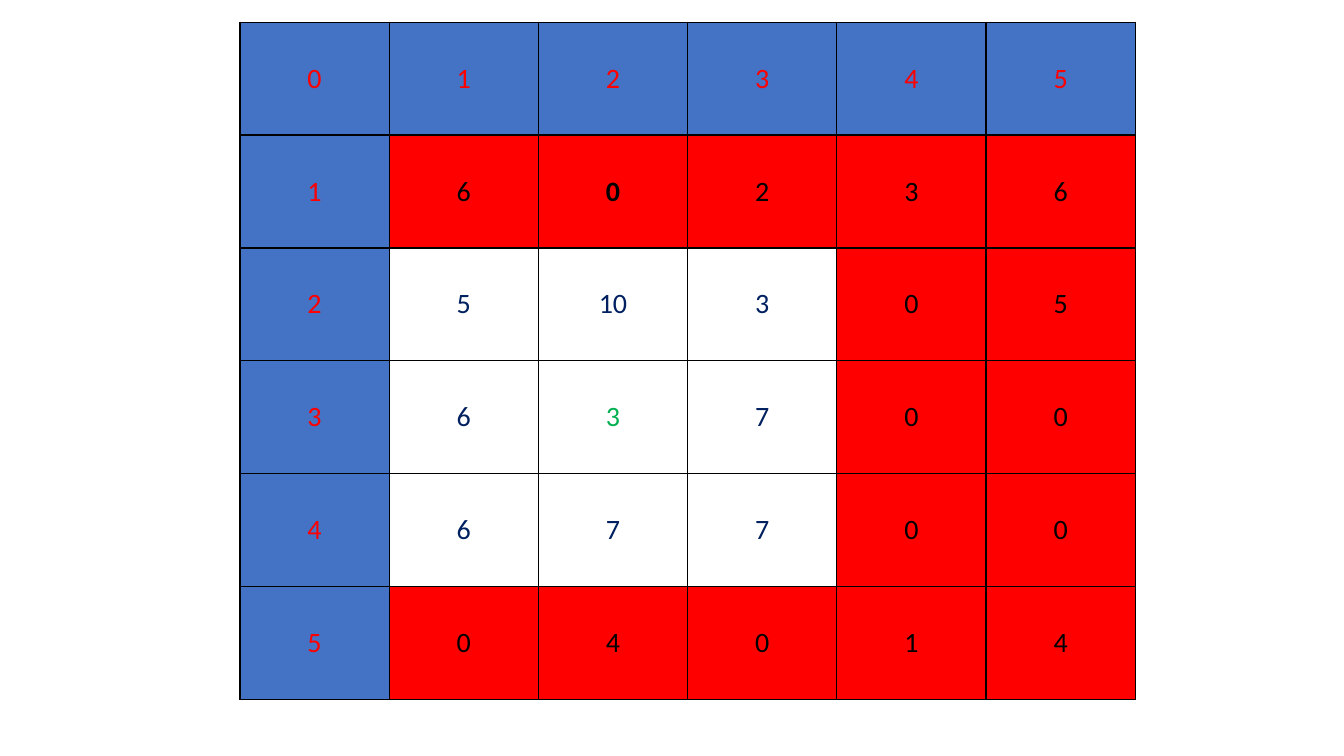
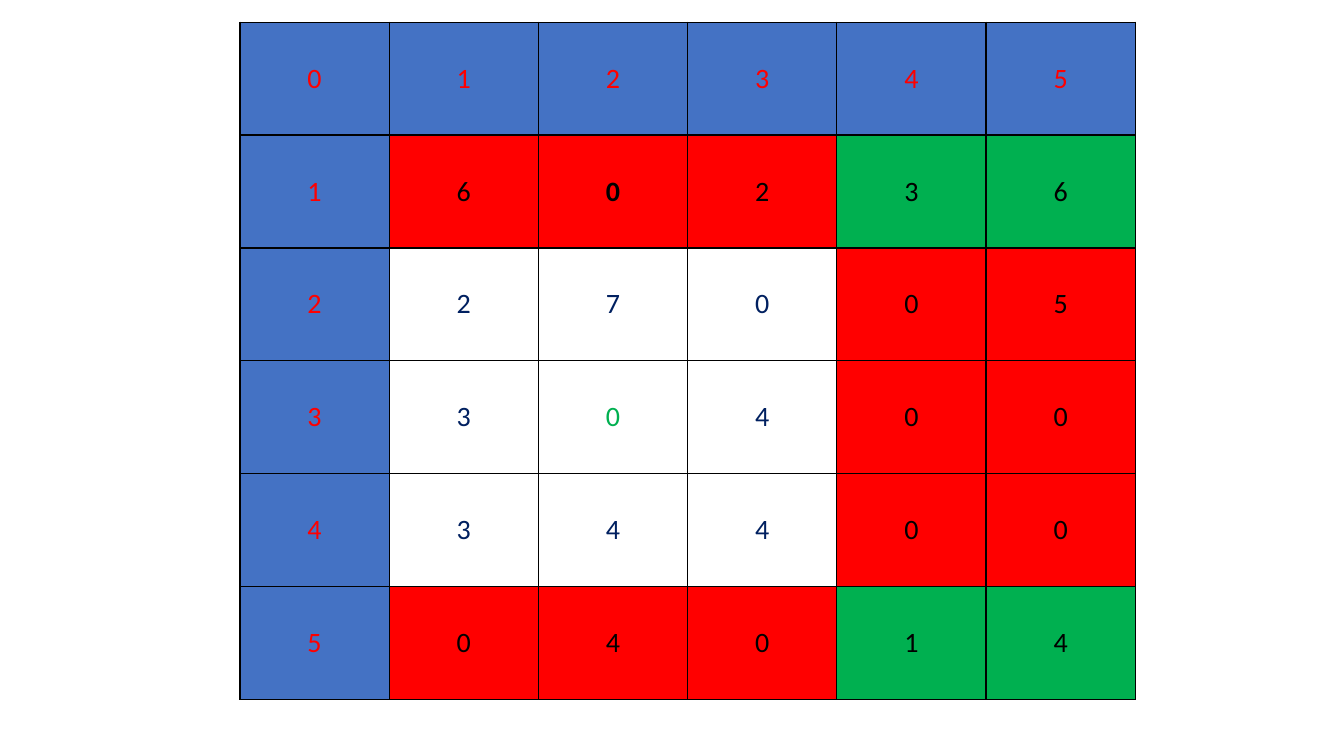
from lxml import etree
from pptx import Presentation
from pptx.dml.color import RGBColor
from pptx.enum.text import MSO_ANCHOR, PP_ALIGN
from pptx.oxml.ns import qn
from pptx.util import Inches, Pt

CENTER = PP_ALIGN.CENTER
MIDDLE = MSO_ANCHOR.MIDDLE

BLUE = RGBColor(0x44, 0x72, 0xC4)
RED = RGBColor(0xFF, 0x00, 0x00)
GREEN = RGBColor(0x00, 0xB0, 0x50)
NAVY = RGBColor(0x00, 0x20, 0x60)
BLACK = RGBColor(0x00, 0x00, 0x00)

FONT = "Calibri"
FONT_SIZE = Pt(20)
BORDER_WIDTH = Pt(1)
BLANK_LAYOUT = 6

SIZE = 6
GRID_BOX = (2.38, 0.22, 8.88, 6.72)
WINDOW = range(1, 4)
WINDOW_TOP = 2
WINDOW_CENTER = (3, 2)
BOLD_CELL = (1, 2)
CORNER_CELLS = {(1, 4), (1, 5), (5, 4), (5, 5)}

OUTER_VALUES = [
    [6, 0, 2, 3, 6],
    [None, None, None, 0, 5],
    [None, None, None, 0, 0],
    [None, None, None, 0, 0],
    [0, 4, 0, 1, 4],
]
WINDOW_BEFORE = [[5, 10, 3], [6, 3, 7], [6, 7, 7]]
WINDOW_AFTER = [[2, 7, 0], [3, 0, 4], [3, 4, 4]]


def set_borders(cell):
    tcPr = cell._tc.get_or_add_tcPr()
    for side in ("a:lnL", "a:lnR", "a:lnT", "a:lnB"):
        ln = etree.SubElement(tcPr, qn(side), w=str(BORDER_WIDTH))
        fill = etree.SubElement(ln, qn("a:solidFill"))
        etree.SubElement(fill, qn("a:srgbClr"), val=str(BLACK))


def cell_style(row, col, green_cells):
    if row == 0 or col == 0:
        return BLUE, RED
    if row - WINDOW_TOP in range(3) and col in WINDOW:
        return None, GREEN if (row, col) == WINDOW_CENTER else NAVY
    return GREEN if (row, col) in green_cells else RED, BLACK


def cell_value(row, col, window):
    if row == 0 or col == 0:
        return row + col
    value = OUTER_VALUES[row - 1][col - 1]
    return window[row - WINDOW_TOP][col - 1] if value is None else value


def write_cell(cell, value, fill, color, bold):
    set_borders(cell)
    if fill is None:
        cell.fill.background()
    else:
        cell.fill.solid()
        cell.fill.fore_color.rgb = fill
    cell.vertical_anchor = MIDDLE
    p = cell.text_frame.paragraphs[0]
    p.alignment = CENTER
    r = p.add_run()
    r.text = str(value)
    r.font.name = FONT
    r.font.size = FONT_SIZE
    r.font.bold = bold
    r.font.color.rgb = color


def add_grid(slide, box, window, green_cells):
    left, top, width, height = map(Inches, box)
    table = slide.shapes.add_table(SIZE, SIZE, left, top, width, height).table
    table.first_row = False
    table.horz_banding = False
    for row in range(SIZE):
        for col in range(SIZE):
            fill, color = cell_style(row, col, green_cells)
            write_cell(table.cell(row, col), cell_value(row, col, window),
                       fill, color, (row, col) == BOLD_CELL)


def main():
    prs = Presentation()
    prs.slide_width = Inches(13.33)
    prs.slide_height = Inches(7.5)
    for window, green_cells in ((WINDOW_BEFORE, set()),
                                (WINDOW_AFTER, CORNER_CELLS)):
        slide = prs.slides.add_slide(prs.slide_layouts[BLANK_LAYOUT])
        add_grid(slide, GRID_BOX, window, green_cells)
    prs.save("out.pptx")


if __name__ == "__main__":
    main()
